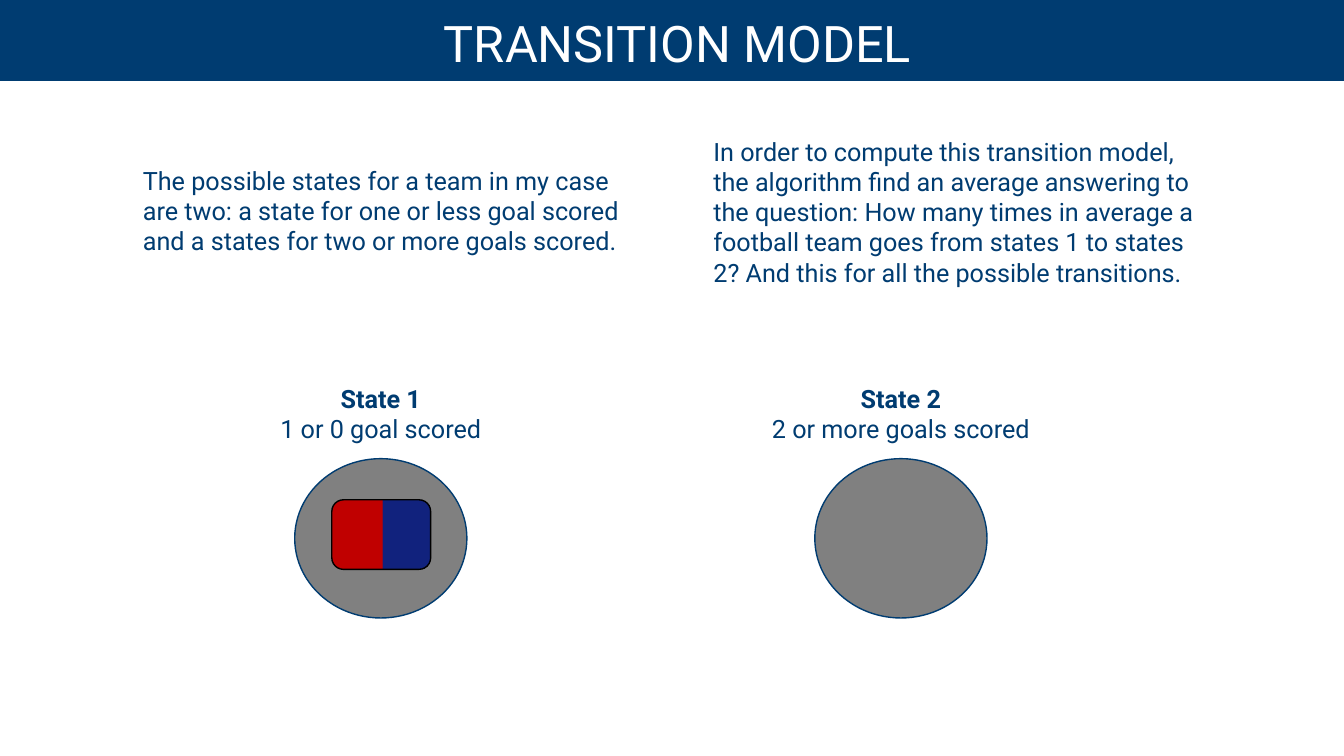
from pptx import Presentation
from pptx import util as u
from pptx.dml.color import RGBColor
from pptx.enum import shapes, text

NAVY = RGBColor(0x00, 0x3C, 0x71)
WHITE = RGBColor(0xFF, 0xFF, 0xFF)
BLACK = RGBColor(0x00, 0x00, 0x00)
GREY = RGBColor(0x80, 0x80, 0x80)
RED = RGBColor(0xC0, 0x00, 0x00)
BLUE = RGBColor(0x11, 0x22, 0x7D)
Shape = shapes.MSO_SHAPE


class SlideBuilder:
    """Holds the text style and the slide being filled."""

    font = "Roboto"
    size = 18

    def __init__(self, slide):
        self.slide = slide

    def shape(self, kind, box, fill, line=NAVY):
        item = self.slide.shapes.add_shape(kind, *map(u.Pt, box))
        item.shadow.inherit = False
        item.line.color.rgb = line
        item.line.width = u.Pt(1)
        if isinstance(fill, RGBColor):
            item.fill.solid()
            item.fill.fore_color.rgb = fill
        else:
            item.fill.gradient()
            item.fill.gradient_angle = 0
            for stop, (position, color) in zip(item.fill.gradient_stops, fill):
                stop.position = position
                stop.color.rgb = color
        return item

    def text(self, wording, box, size=size, color=NAVY, align=text.PP_ALIGN.LEFT,
             bold_first=False, anchor=text.MSO_ANCHOR.TOP, spacing=1.0):
        frame = self.slide.shapes.add_textbox(*map(u.Pt, box)).text_frame
        frame.word_wrap = True
        frame.vertical_anchor = anchor
        frame.text = wording
        for index, paragraph in enumerate(frame.paragraphs):
            paragraph.alignment = align
            paragraph.line_spacing = spacing
            for run in paragraph.runs:
                run.font.name = self.font
                run.font.size = u.Pt(size)
                run.font.color.rgb = color
                run.font.bold = bold_first and index == 0


def main():
    deck = Presentation()
    deck.slide_width, deck.slide_height = u.Pt(960), u.Pt(540)
    page = SlideBuilder(deck.slides.add_slide(deck.slide_layouts[6]))

    # Title band
    page.shape(Shape.RECTANGLE, (-3, -0.7, 963, 58.3), NAVY)
    page.text("TRANSITION MODEL", (22, 8, 924, 49.7), size=36, color=WHITE,
              align=text.PP_ALIGN.CENTER, anchor=text.MSO_ANCHOR.MIDDLE, spacing=0.9)

    # Explanations
    page.text("The possible states for a team in my case are two: a state for one "
              "or less goal scored and a states for two or more goals scored.",
              (95, 114.5, 363, 94.3))
    page.text("In order to compute this transition model, the algorithm find an "
              "average answering to the question: How many times in average a "
              "football team goes from states 1 to states 2? And this for all "
              "the possible transitions.", (502.5, 93.6, 363, 160))

    # States: a label above a circle, both on the same centre
    states = ("1 or 0 goal scored", "2 or more goals scored")
    for number, meaning in enumerate(states, 1):
        center = 272 + (number - 1) * 371.5
        page.text(f"State {number}\n{meaning}", (center - 106, 270, 212, 51),
                  align=text.PP_ALIGN.CENTER, bold_first=True)
        page.shape(Shape.FLOWCHART_CONNECTOR, (center - 61.5, 327.6, 123, 113.8), GREY)

    # Two-coloured team token in the first state
    page.shape(Shape.ROUNDED_RECTANGLE, (237, 357, 70.6, 49.7),
               ((0.51, RED), (0.52, BLUE)), BLACK)

    deck.save("out.pptx")


if __name__ == "__main__":
    main()
